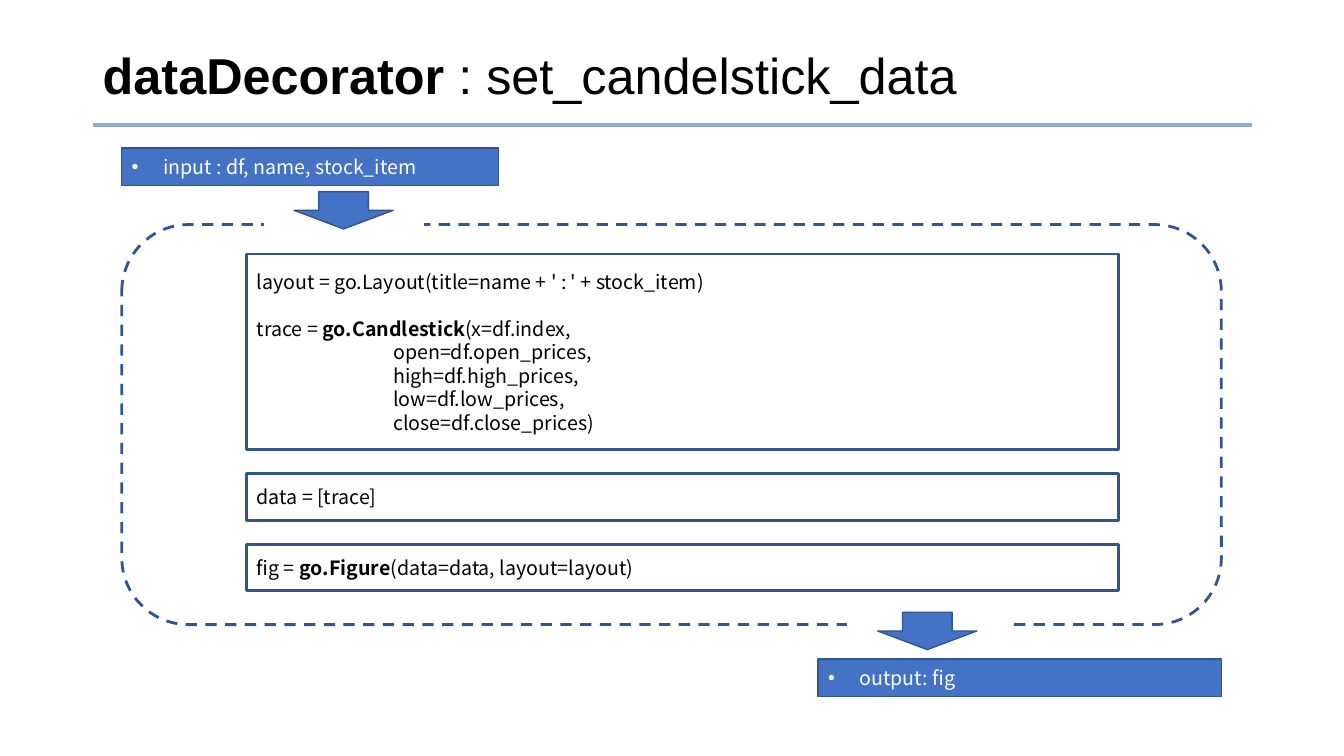
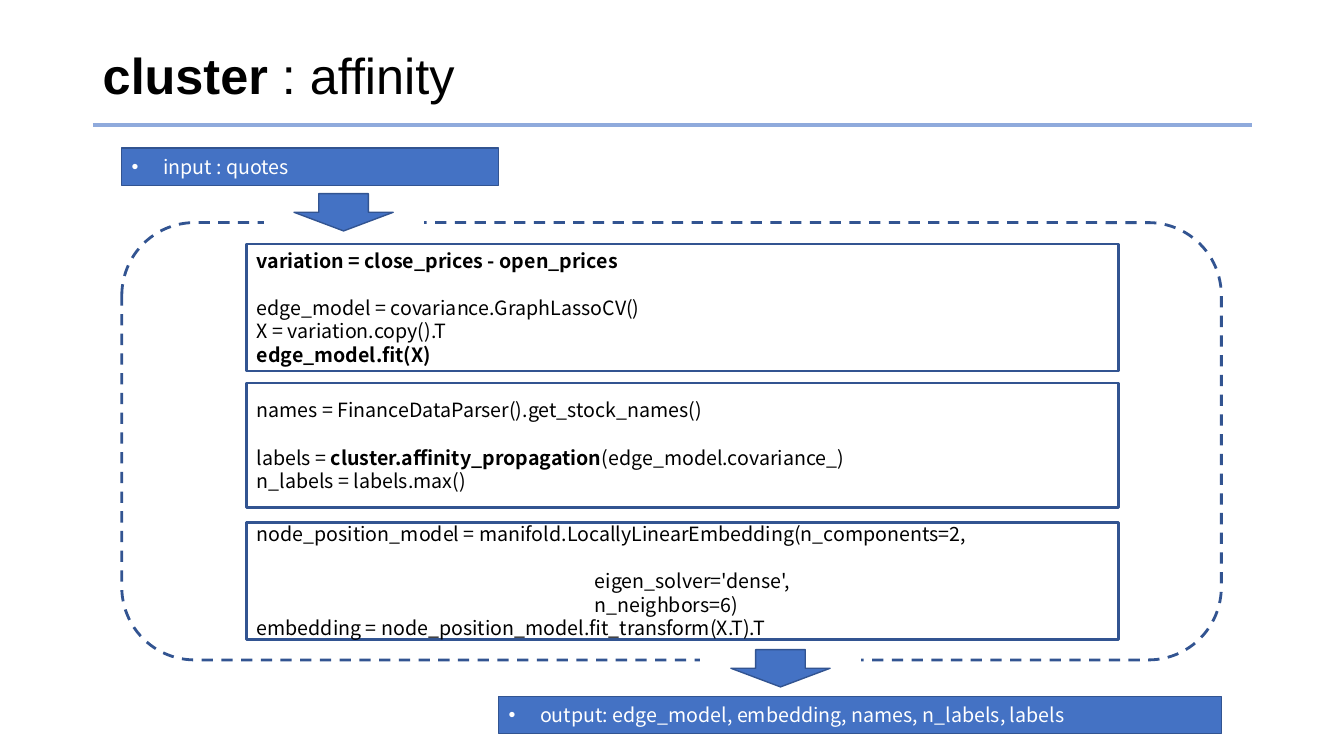
from dataclasses import dataclass

from lxml import etree
from pptx import Presentation
from pptx import util as u
from pptx.dml.color import RGBColor
from pptx.enum import dml, shapes, text
from pptx.oxml.ns import qn


@dataclass(frozen=True)
class Theme:
    blue: RGBColor = RGBColor(0x44, 0x72, 0xC4)
    outline: RGBColor = RGBColor(0x32, 0x54, 0x91)
    rule: RGBColor = RGBColor(0x8F, 0xAA, 0xDC)
    white: RGBColor = RGBColor(0xFF, 0xFF, 0xFF)
    black: RGBColor = RGBColor(0, 0, 0)
    title_font: str = "Arial"
    body_font: str = "Noto Sans CJK KR"
    title_size: float = 36
    body_size: float = 14
    blank_line: float = 16.8


THEME = Theme()

LEFT, RIGHT = 3.07, 30.78
BOX_LEFT, BOX_WIDTH = 6.22, 21.97
TAG_HEIGHT, TAG_INDENT = 0.94, 0.79
INPUT_TOP, INPUT_WIDTH = 3.73, 9.5
INPUT_ARROW_CENTER = 8.66
ARROW_WIDTH, ARROW_HEIGHT, ARROW_CLEARANCE = 2.5, 0.94, 0.24
GAP_WIDTH, GAP_HEIGHT = 4, 0.5


@dataclass(frozen=True)
class Line:
    regular_then_bold: tuple[str, ...]
    indent: float = 0
    blank_before: bool = False


@dataclass(frozen=True)
class CodeBox:
    top: float
    height: float
    lines: tuple[Line, ...]


@dataclass(frozen=True)
class Flow:
    title: Line
    input_text: str
    input_arrow_top: float
    frame_top: float
    frame_height: float
    boxes: tuple[CodeBox, ...]
    output_text: str
    output_top: float
    output_width: float
    output_arrow_center: float


FLOWS = (
    Flow(
        Line(("", "dataDecorator", " : set_candelstick_data")),
        "input : df, name, stock_item", 4.83, 5.66, 10.08,
        (
            CodeBox(6.4, 4.93, (
                Line(("layout = go.Layout(title=name + ' : ' + stock_item)",)),
                Line(("trace = ", "go.Candlestick", "(x=df.index,"), blank_before=True),
                Line(("open=df.open_prices,",), 3.44),
                Line(("high=df.high_prices,",), 3.44),
                Line(("low=df.low_prices,",), 3.44),
                Line(("close=df.close_prices)",), 3.44),
            )),
            CodeBox(11.94, 1.17, (Line(("data = [trace]",)),)),
            CodeBox(13.72, 1.17, (
                Line(("fig = ", "go.Figure", "(data=data, layout=layout)")),
            )),
        ),
        "output: fig", 16.61, 10.16, 23.37,
    ),
    Flow(
        Line(("", "cluster", " : affinity")),
        "input : quotes", 4.88, 5.61, 11.02,
        (
            CodeBox(6.15, 3.2, (
                Line(("", "variation = close_prices - open_prices")),
                Line(("edge_model = covariance.GraphLassoCV()",), blank_before=True),
                Line(("X = variation.copy().T",)),
                Line(("", "edge_model.fit(X)")),
            )),
            CodeBox(9.65, 3.15, (
                Line(("names = FinanceDataParser().get_stock_names()",)),
                Line(("labels = ", "cluster.affinity_propagation",
                      "(edge_model.covariance_)"), blank_before=True),
                Line(("n_labels = labels.max()",)),
            )),
            CodeBox(13.16, 2.95, (
                Line(("node_position_model = manifold.LocallyLinearEmbedding(n_components=2,",)),
                Line(("eigen_solver='dense',",), 8.52, True),
                Line(("n_neighbors=6)",), 8.52),
                Line(("embedding = node_position_model.fit_transform(X.T).T",)),
            )),
        ),
        "output: edge_model, embedding, names, n_labels, labels", 17.55, 18.21, 19.67,
    ),
)


def add_box(slide, kind, left: float, top: float, width: float, height: float,
            fill: RGBColor | None = None, line: RGBColor = THEME.outline,
            weight: float = 1):
    shape = slide.shapes.add_shape(kind, u.Cm(left), u.Cm(top), u.Cm(width), u.Cm(height))
    shape.shadow.inherit = False
    if fill is None:
        shape.fill.background()
    else:
        shape.fill.solid()
        shape.fill.fore_color.rgb = fill
    shape.line.color.rgb = line
    shape.line.width = u.Pt(weight)
    return shape


def write_line(paragraph, line: Line, color: RGBColor = THEME.black,
               font: str = THEME.body_font, size: float = THEME.body_size) -> None:
    paragraph.alignment = text.PP_ALIGN.LEFT
    paragraph.font.name = font
    paragraph.font.size = u.Pt(size)
    paragraph.font.color.rgb = color
    if line.blank_before:
        paragraph.space_before = u.Pt(THEME.blank_line)
    if line.indent:
        paragraph._p.get_or_add_pPr().set("marL", str(u.Cm(line.indent)))
    for index, words in enumerate(line.regular_then_bold):
        if words:
            run = paragraph.add_run()
            run.text = words
            run.font.bold = index % 2 == 1


def add_title(slide, title: Line) -> None:
    shape = slide.shapes.add_textbox(u.Cm(2.34), u.Cm(1.02), u.Cm(29.21), u.Cm(1.9))
    frame = shape.text_frame
    frame.word_wrap = True
    frame.vertical_anchor = text.MSO_ANCHOR.MIDDLE
    paragraph = frame.paragraphs[0]
    paragraph.line_spacing = 0.9
    write_line(paragraph, title, font=THEME.title_font, size=THEME.title_size)
    rule = slide.shapes.add_connector(
        shapes.MSO_CONNECTOR.STRAIGHT, u.Cm(2.34), u.Cm(3.15), u.Cm(31.55), u.Cm(3.15))
    rule.line.color.rgb = THEME.rule
    rule.line.width = u.Pt(3.16)
    etree.SubElement(rule._element.spPr, qn("a:effectLst"))


def add_tag(slide, label: str, left: float, top: float, width: float) -> None:
    shape = add_box(slide, shapes.MSO_SHAPE.RECTANGLE, left, top, width, TAG_HEIGHT, THEME.blue)
    paragraph = shape.text_frame.paragraphs[0]
    write_line(paragraph, Line((label,), TAG_INDENT), THEME.white)
    properties = paragraph._p.get_or_add_pPr()
    properties.set("indent", str(-u.Cm(TAG_INDENT)))
    bullet_font = etree.Element(qn("a:buFont"), typeface="Arial")
    bullet = etree.Element(qn("a:buChar"), char="•")
    default_run = properties.find(qn("a:defRPr"))
    default_run.addprevious(bullet_font)
    default_run.addprevious(bullet)


def add_arrow(slide, center: float, top: float, edge: float) -> None:
    add_box(slide, shapes.MSO_SHAPE.RECTANGLE, center - GAP_WIDTH / 2,
            edge - GAP_HEIGHT / 2, GAP_WIDTH, GAP_HEIGHT, THEME.white, THEME.white)
    add_box(slide, shapes.MSO_SHAPE.DOWN_ARROW, center - ARROW_WIDTH / 2, top,
            ARROW_WIDTH, ARROW_HEIGHT, THEME.blue)


def add_code(slide, box: CodeBox) -> None:
    shape = add_box(slide, shapes.MSO_SHAPE.RECTANGLE, BOX_LEFT, box.top,
                    BOX_WIDTH, box.height, weight=2)
    frame = shape.text_frame
    for index, line in enumerate(box.lines):
        write_line(frame.add_paragraph() if index else frame.paragraphs[0], line)


def add_flow(presentation, flow: Flow) -> None:
    slide = presentation.slides.add_slide(presentation.slide_layouts[6])
    add_title(slide, flow.title)
    frame = add_box(slide, shapes.MSO_SHAPE.ROUNDED_RECTANGLE, LEFT, flow.frame_top,
                    RIGHT - LEFT, flow.frame_height, weight=2)
    frame.line.dash_style = dml.MSO_LINE.DASH
    add_arrow(slide, INPUT_ARROW_CENTER, flow.input_arrow_top, flow.frame_top)
    add_arrow(slide, flow.output_arrow_center,
              flow.output_top - ARROW_CLEARANCE - ARROW_HEIGHT,
              flow.frame_top + flow.frame_height)
    for box in flow.boxes:
        add_code(slide, box)
    add_tag(slide, flow.input_text, LEFT, INPUT_TOP, INPUT_WIDTH)
    add_tag(slide, flow.output_text, RIGHT - flow.output_width,
            flow.output_top, flow.output_width)


def main() -> None:
    presentation = Presentation()
    presentation.slide_width = u.Cm(33.87)
    presentation.slide_height = u.Cm(19.05)
    for flow in FLOWS:
        add_flow(presentation, flow)
    presentation.save("out.pptx")


if __name__ == "__main__":
    main()
